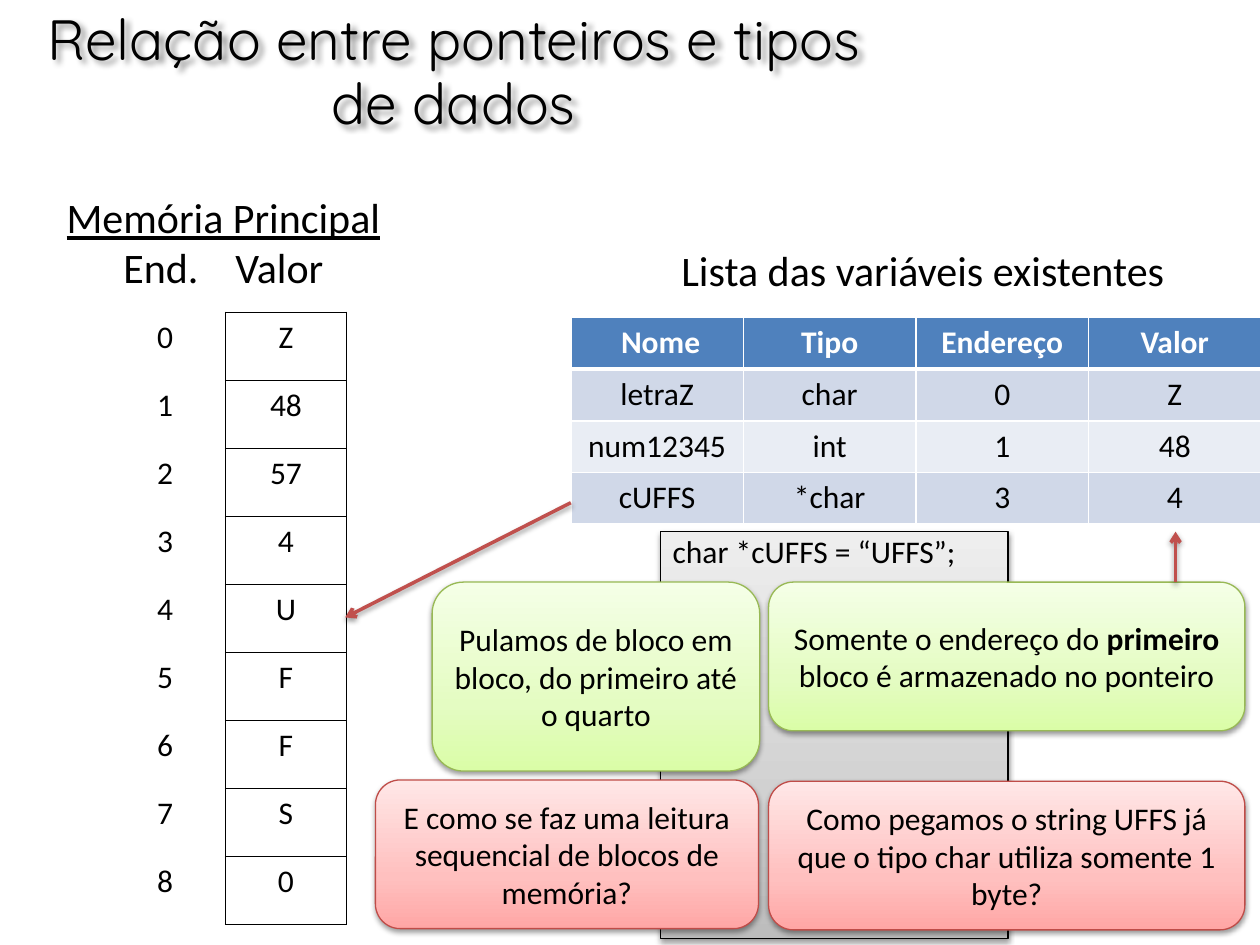
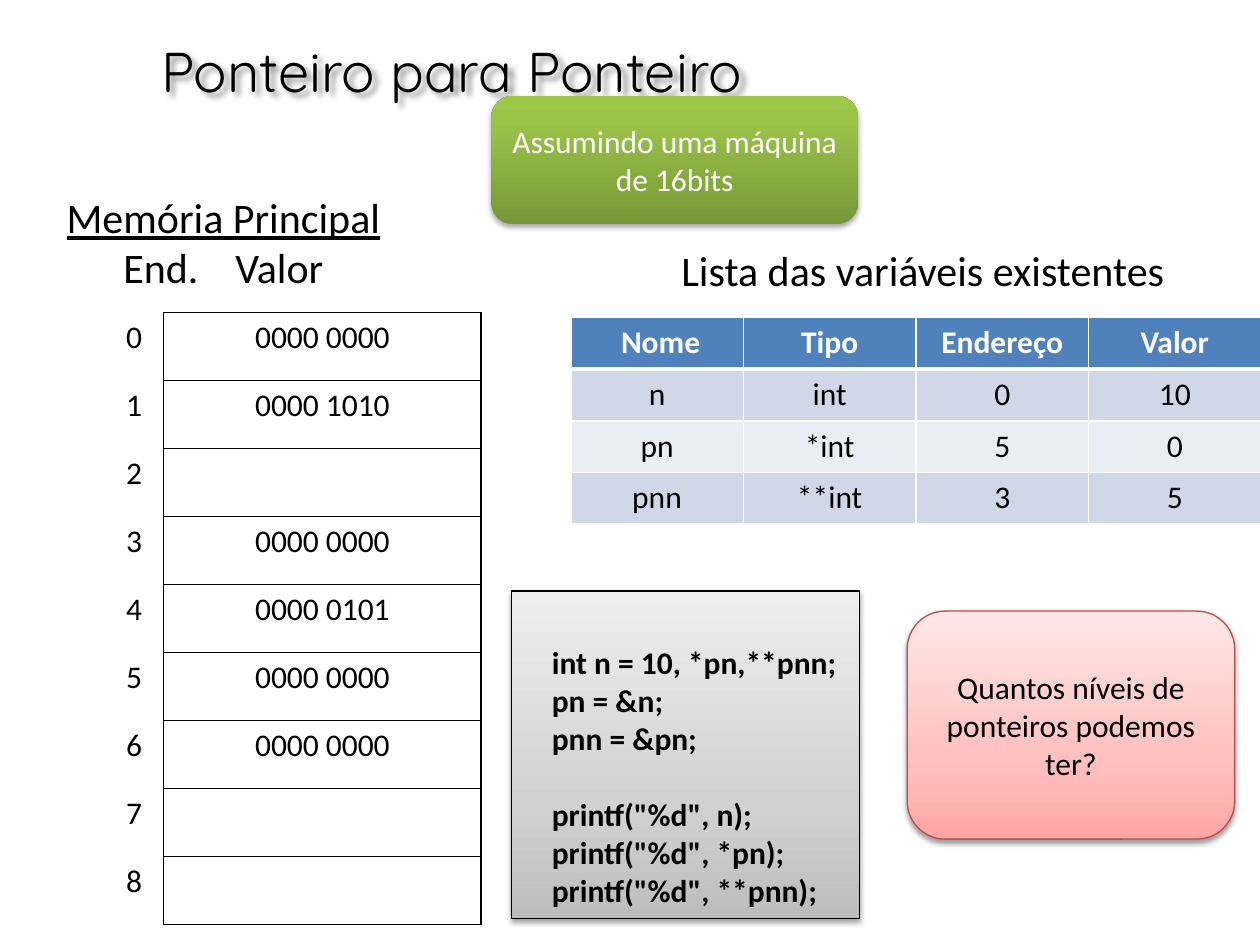
from pptx import Presentation
from pptx.dml.color import RGBColor
from pptx.enum.shapes import MSO_CONNECTOR, MSO_SHAPE
from pptx.enum.text import MSO_ANCHOR, MSO_AUTO_SIZE, PP_ALIGN
from pptx.oxml import parse_xml
from pptx.oxml.ns import nsdecls, qn
from pptx.util import Emu, Pt

SCALE = 9144  # 100 px to the inch
HEX = {
    "black": "000000", "white": "FFFFFF", "head": "4F81BD",
    "odd": "D0D8E8", "even": "E9EDF4", "arrow": "C0504D",
}
# Gradient stops run from the bottom edge up.
LOOKS = {
    "gray": {"stops": ((0, "BDBDBD"), (35, "D1D1D1"), (100, "EEEEEE")), "line": "000000"},
    "lime": {"stops": ((0, "DAFDA7"), (35, "E4FCC2"), (100, "F5FFE7")), "line": "98B955"},
    "rose": {"stops": ((0, "FFA6A5"), (35, "FFC0BF"), (100, "FFE7E7")), "line": "BF4C48"},
    "green": {"stops": ((0, "779737"), (80, "9BC348"), (100, "9DC746")), "line": None},
}
SOFT = {"blurRad": 40000, "dist": 20000, "dir": 5400000, "alpha": 38000}
DEEP = {"blurRad": 40000, "dist": 23000, "dir": 5400000, "alpha": 35000}
SLANT = {"blurRad": 38100, "dist": 38100, "dir": 2700000, "alpha": 43000}


def px(*vals):
    return [Emu(val * SCALE) for val in vals]


def rgb(name):
    return RGBColor.from_string(HEX.get(name, name))


def adjust(item, vals):
    for key, val in vals.items():
        setattr(item, key, val)


def xml(tag, body="", **attrs):
    text = " ".join(f'{key}="{val}"' for key, val in attrs.items())
    return parse_xml(f'<a:{tag} {nsdecls("a")} {text}>{body}</a:{tag}>')


class Deck:
    def __init__(self):
        self.prs = Presentation()
        self.prs.slide_width, self.prs.slide_height = px(1000, 750)
        self.slide = None

    def put(self, frame, lines, size=18, font="Calibri", color="black", bold=False,
            align=PP_ALIGN.LEFT):
        """Fill a frame; a line is a string or a list of (text, bold) runs."""
        for num, line in enumerate(lines):
            para = frame.paragraphs[0] if num == 0 else frame.add_paragraph()
            para.alignment = align
            for text, heavy in [(line, bold)] if isinstance(line, str) else line:
                run = para.add_run()
                run.text = text
                adjust(run.font, {"size": Pt(size), "name": font, "bold": heavy})
                run.font.color.rgb = rgb(color)

    def shade(self, props, alpha, **attrs):
        """Put a shadow into the effect list of shape properties."""
        tint = f'<a:srgbClr val="{HEX["black"]}"><a:alpha val="{alpha}"/></a:srgbClr>'
        glow = xml("outerShdw", tint, **attrs, rotWithShape=0)
        props.find(qn("a:effectLst")).append(glow)

    def page(self, title, width, size):
        self.slide = self.prs.slides.add_slide(self.prs.slide_layouts[5])
        head = self.slide.shapes.title
        adjust(head, dict(zip(("left", "top", "width", "height"), px(0, 16, width, 84))))
        adjust(head.text_frame, {"auto_size": MSO_AUTO_SIZE.NONE, "word_wrap": True,
                                 "vertical_anchor": MSO_ANCHOR.MIDDLE})
        self.put(head.text_frame, [title], size, "Quicksand", align=PP_ALIGN.CENTER)
        head.text_frame.paragraphs[0].line_spacing = 0.95
        head.shadow.inherit = False
        self.shade(head._element.spPr, **SLANT)

    def label(self, lines, *box):
        frame = self.slide.shapes.add_textbox(*px(*box)).text_frame
        adjust(frame, {"word_wrap": True, "margin_right": 0})
        self.put(frame, lines, 24)
        return frame

    def panel(self, look, box, form=MSO_SHAPE.ROUNDED_RECTANGLE, shadow=SOFT):
        shape = self.slide.shapes.add_shape(form, *px(*box))
        props = shape._element.spPr
        shape.fill.gradient()
        shape.fill.gradient_angle = 90
        stops = props.find(qn("a:gradFill")).find(qn("a:gsLst"))
        for stop in list(stops):
            stops.remove(stop)
        for pos, tone in LOOKS[look]["stops"]:
            stops.append(xml("gs", f'<a:srgbClr val="{tone}"/>', pos=pos * 1000))
        edge = LOOKS[look]["line"]
        if edge:
            shape.line.color.rgb = rgb(edge)
            shape.line.width = Pt(0.75)
        else:
            shape.line.fill.background()
        shape.shadow.inherit = False
        self.shade(props, **shadow)
        shape.text_frame.word_wrap = True
        return shape.text_frame

    def note(self, look, line, *box, color="black", shadow=SOFT):
        frame = self.panel(look, box, shadow=shadow)
        frame.vertical_anchor = MSO_ANCHOR.MIDDLE
        self.put(frame, [line], color=color, align=PP_ALIGN.CENTER)

    def code(self, lines, *box, bold=False, **form):
        frame = self.panel("gray", box, MSO_SHAPE.RECTANGLE)
        adjust(frame, form)
        self.put(frame, lines, bold=bold)
        return frame

    def arrow(self, *ends):
        link = self.slide.shapes.add_connector(MSO_CONNECTOR.STRAIGHT, *px(*ends))
        link.line.color.rgb = rgb("arrow")
        link.line.width = Pt(2)
        props = link._element.spPr
        props.find(qn("a:ln")).append(xml("tailEnd", type="arrow"))
        props.append(xml("effectLst"))
        self.shade(props, **SOFT)

    def border(self, cell, color, **sides):
        """Draw the given sides (L, R, T, B), each with its width in points."""
        props = cell._tc.get_or_add_tcPr()
        body = f'<a:solidFill><a:srgbClr val="{HEX[color]}"/></a:solidFill>'
        for num, side in enumerate(key for key in "LRTB" if key in sides):
            props.insert(num, xml(f"ln{side}", body, w=Pt(sides[side])))

    def grid(self, rows, left, top, widths, high):
        """Add a plain table and yield each cell with its row, column and text."""
        table = self.slide.shapes.add_table(len(rows), len(widths), *px(
            left, top, sum(widths), high * len(rows))).table
        adjust(table, {"first_row": False, "horz_banding": False})
        for col, width in zip(table.columns, px(*widths)):
            col.width = width
        for r, row in enumerate(rows):
            table.rows[r].height = px(high)[0]
            for c, text in enumerate(row):
                yield table.cell(r, c), r, c, text

    def memory(self, vals, widths):
        frame = self.label(["Memória Principal", "\tEnd.\tValor"], 43, 147, 271, 91)
        frame.paragraphs[0].runs[0].font.underline = True
        tabs = "".join(f'<a:tab pos="{pos}" algn="l"/>' for pos in px(45, 134))
        frame.paragraphs[1]._p.get_or_add_pPr().append(xml("tabLst", tabs))
        rows = [(str(num), val) for num, val in enumerate(vals)]
        for cell, r, c, text in self.grid(rows, 83, 248, widths, 54):
            cell.fill.background()
            self.put(cell.text_frame, [text] if text else [], align=PP_ALIGN.CENTER)
            self.border(cell, "black", **({"L": 1, "R": 1, "T": 1, "B": 1} if c else {"R": 1}))

    def names(self, rows):
        """List the variables under their heading."""
        self.label(["Lista das variáveis existentes"], 531, 189, 407, 50)
        rows = [(" Nome", "Tipo", "Endereço", "Valor"), *rows]
        for cell, r, c, text in self.grid(rows, 453, 252, [137] * 4, 41):
            cell.fill.solid()
            cell.fill.fore_color.rgb = rgb("head" if r == 0 else "odd" if r % 2 else "even")
            self.put(cell.text_frame, [text], color="black" if r else "white",
                     bold=r == 0, align=PP_ALIGN.CENTER)
            self.border(cell, "white", L=1, R=1, T=3 if r == 1 else 1, B=1 if r else 3)


def types_page(deck):
    deck.page("Relação entre ponteiros e tipos de dados", 720, 32.4)
    deck.code(["char *cUFFS = “UFFS”;"], 524, 422, 276, 323,
              vertical_anchor=MSO_ANCHOR.TOP, margin_top=0)
    deck.memory(["Z", "48", "57", "4", "U", "F", "F", "S", "0"], [96, 96])
    deck.names([("letraZ", "char", "0", "Z"), ("num12345", "int", "1", "48"),
                ("cUFFS", "*char", "3", "4")])
    deck.arrow(453, 399, 274, 490)
    deck.note("lime", [("Somente o endereço do ", False), ("primeiro", True),
                       (" bloco é armazenado no ponteiro", False)], 610, 462, 378, 118)
    deck.arrow(933, 462, 933, 422)
    deck.note("lime", "Pulamos de bloco em bloco, do primeiro até o quarto", 343, 462, 260, 150)
    deck.note("rose", "Como pegamos o string UFFS já que o tipo char utiliza somente 1 byte?",
              610, 620, 378, 118)
    deck.note("rose", "E como se faz uma leitura sequencial de blocos de memória?",
              298, 619, 304, 118)


def levels_page(deck):
    deck.page("Ponteiro para Ponteiro", 717, 32)
    deck.names([("n", "int", "0", "10"), ("pn", "*int", "5", "0"), ("pnn", "**int", "3", "5")])
    zero = "0000 0000"
    deck.memory([zero, "0000 1010", "", zero, "0000 0101", zero, zero, "", ""], [47, 252])
    lines = ["int n = 10, *pn,**pnn;", "pn = &n;", "pnn = &pn;",
             'printf("%d", n);', 'printf("%d", *pn);', 'printf("%d", **pnn);']
    left, low = px(32, 8)
    frame = deck.code(lines, 406, 469, 276, 260, bold=True, margin_left=left,
                      margin_bottom=low, vertical_anchor=MSO_ANCHOR.BOTTOM)
    frame.paragraphs[3].space_before = Pt(22)
    deck.note("rose", "Quantos níveis de ponteiros podemos ter?", 720, 485, 260, 181)
    deck.note("green", "Assumindo uma máquina de 16bits", 390, 76, 291, 102,
              color="white", shadow=DEEP)


def main():
    deck = Deck()
    types_page(deck)
    levels_page(deck)
    deck.prs.save("out.pptx")


if __name__ == "__main__":
    main()
